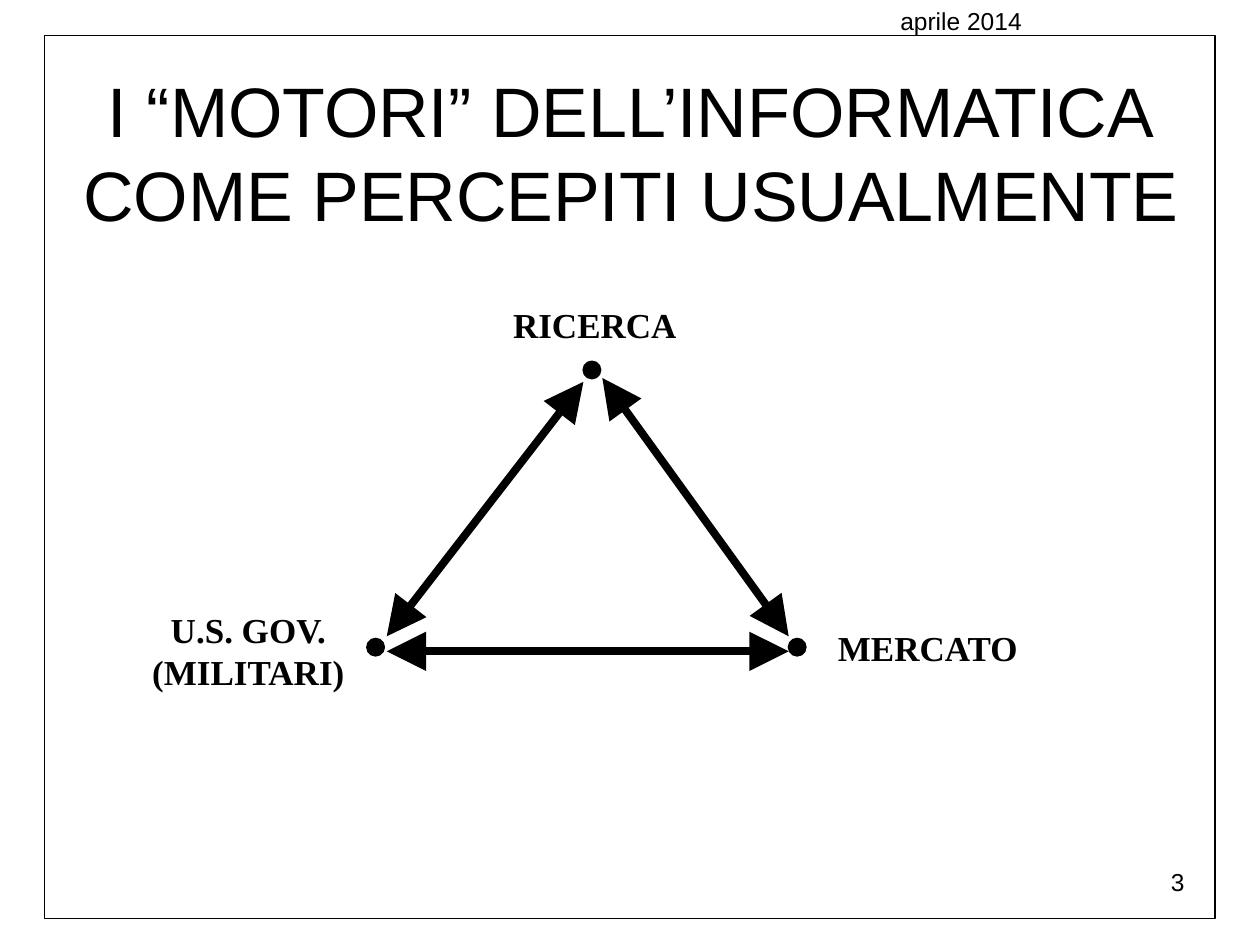
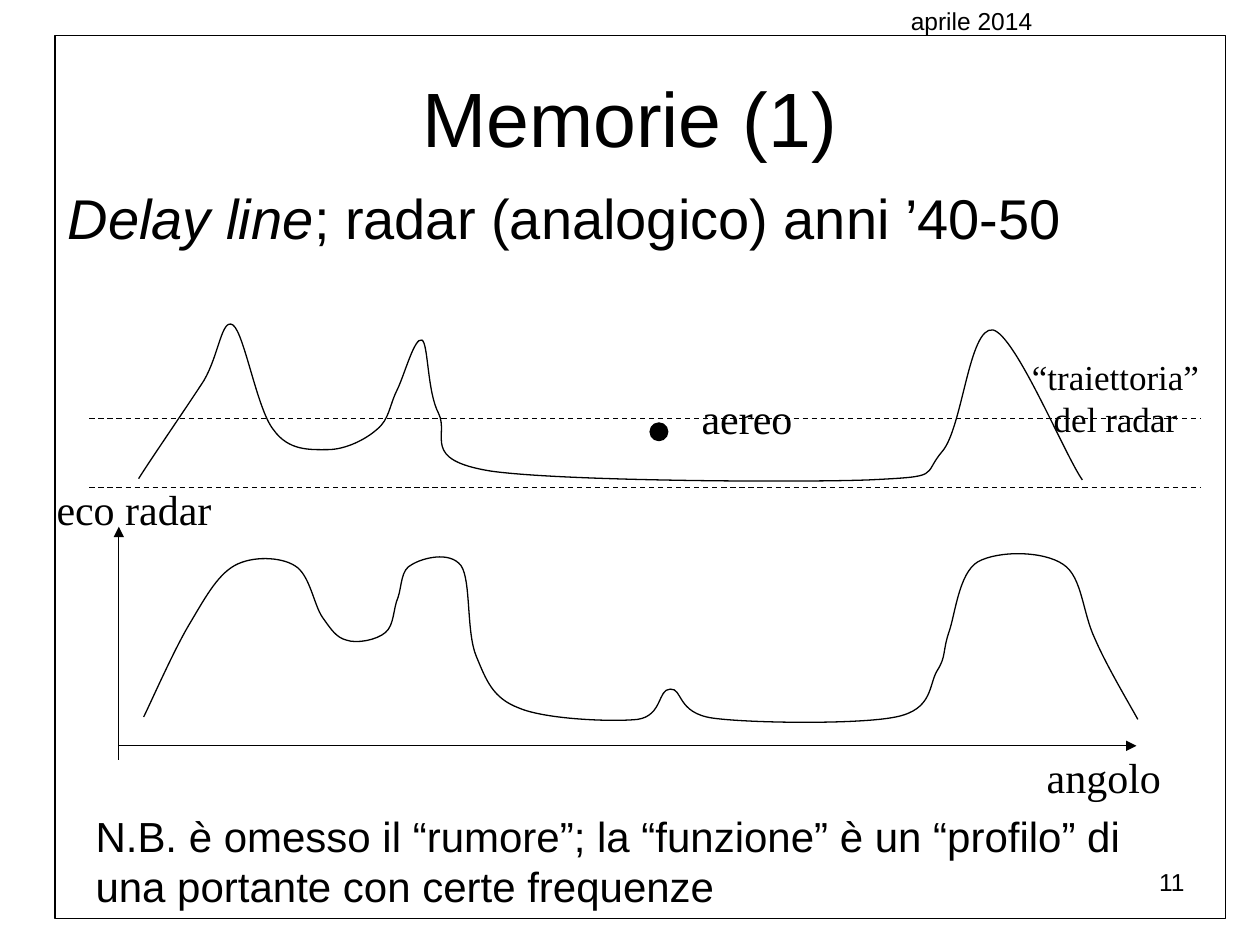
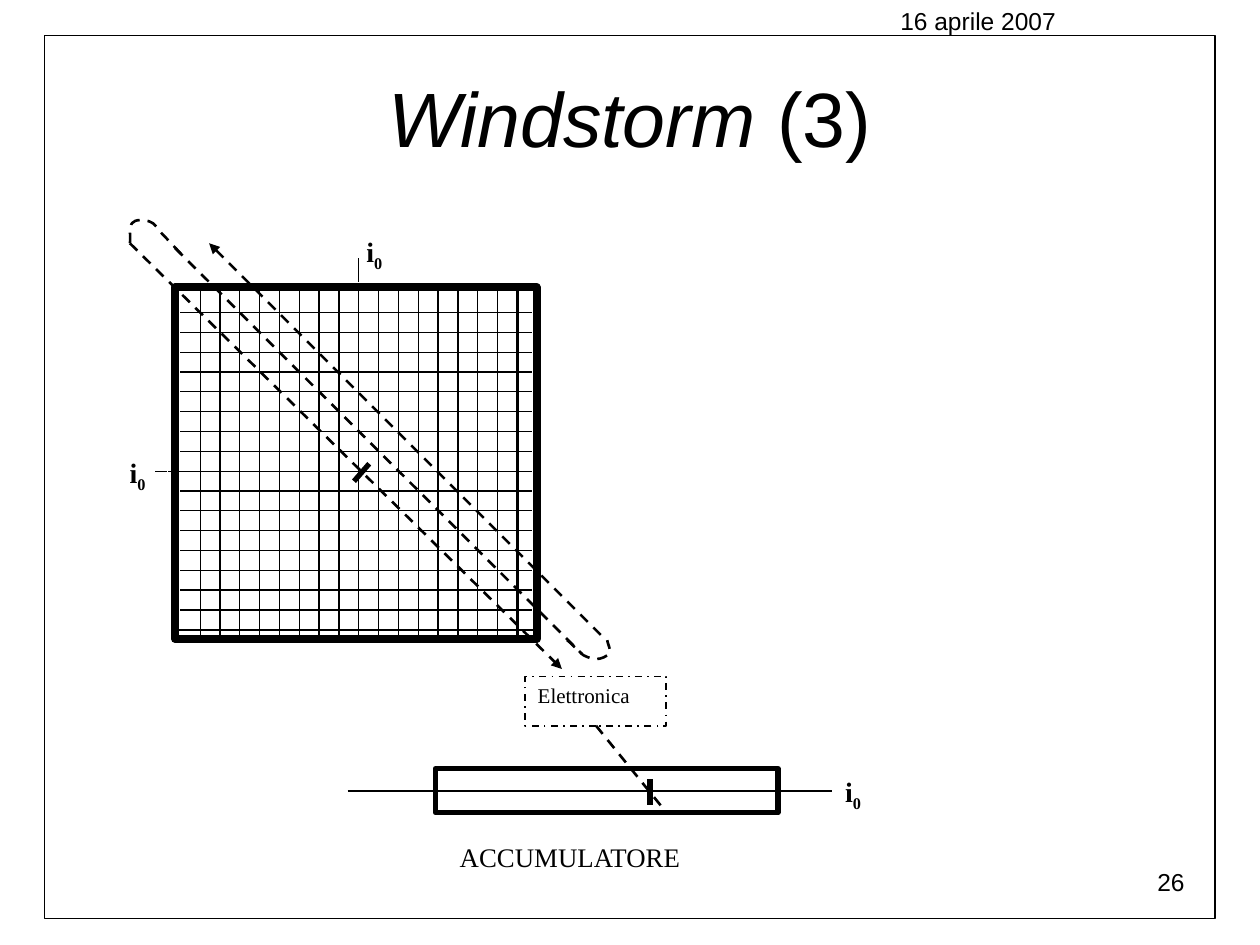
from lxml.etree import SubElement
from pptx import Presentation
from pptx.dml.color import RGBColor
from pptx.enum.dml import MSO_LINE
from pptx.enum.shapes import MSO_CONNECTOR, MSO_SHAPE
from pptx.enum.text import MSO_ANCHOR, PP_ALIGN
from pptx.oxml.ns import qn
from pptx.util import Pt

COLORS = {"ink": "000000", "paper": "FFFFFF"}
SANS, SERIF = "Arial", "Times New Roman"
BODY = {"name": SANS, "size": 24}
LABEL = {"name": SERIF, "size": 24}
NODE = {"name": SERIF, "size": 20, "bold": True}
CURRENT = {"name": SERIF, "size": 16, "bold": True}
ITALIC = {"italic": True}
I0 = [[("i", {}), ("0", {"baseline": -25000})]]

# Bezier curves: start point, then two control points and an end point a row
TERRAIN = [
    (79.2, 273.6),
    (85, 264.2), (107.3, 231.8), (116.6, 217.4),
    (125.3, 202.3), (126.7, 181.4), (133.2, 185.8),
    (139.7, 190.8), (146.9, 234), (156.2, 245.5),
    (164.9, 257.8), (177.1, 257), (187.2, 257),
    (197.3, 257), (208.8, 251.3), (215.3, 245.5),
    (222.5, 239.8), (222.5, 231.8), (226.8, 223.2),
    (231.1, 214.6), (236.9, 192.2), (241.2, 194.4),
    (244.8, 196.6), (244.1, 223.9), (250.6, 236.2),
    (257, 249.1), (239.8, 262.8), (280.8, 269.3),
    (321.8, 275), (453.6, 275.8), (496.1, 274.3),
    (539.3, 272.2), (526.3, 272.2), (538.6, 257.8),
    (550.1, 244.1), (553.7, 186.5), (567.4, 188.6),
    (580.3, 191.5), (608.4, 259.9), (618.5, 274.3),
]
ECHO = [
    (82.1, 409.7),
    (86.4, 401), (99.4, 371.5), (108, 357.1),
    (116.6, 342.7), (123.8, 329), (133.9, 323.3),
    (144, 317.5), (160.6, 318.2), (168.5, 323.3),
    (177.1, 328.3), (179.3, 345.6), (184.3, 352.8),
    (189.4, 360), (192.2, 364.3), (198, 365.8),
    (203.8, 367.9), (215.3, 365.8), (220.3, 361.4),
    (225.4, 357.1), (224.6, 347.8), (227.5, 341.3),
    (229.7, 334.8), (229, 325.4), (235.4, 322.6),
    (241.2, 319), (257, 314.6), (263.5, 323.3),
    (269.3, 331.9), (266.4, 361.4), (272.2, 375.1),
    (277.9, 388.8), (281.5, 398.9), (296.6, 404.6),
    (311.8, 411.1), (350, 412.6), (364.3, 411.1),
    (378.7, 409), (375.8, 393.8), (383, 393.8),
    (390.2, 393.1), (386.6, 407.5), (407.5, 410.4),
    (429.1, 413.3), (491, 414), (511.9, 409.7),
    (533.5, 405.4), (530.6, 391), (535.7, 383),
    (540.7, 375.1), (538.6, 372.2), (542.2, 361.4),
    (545.8, 351.4), (547.9, 327.6), (558.7, 321.1),
    (570.2, 314.6), (596.2, 314.6), (607.7, 322.6),
    (618.5, 329.8), (618.5, 349.9), (625.7, 365),
    (632.2, 380.2), (645.1, 401.8), (650.2, 411.1),
]
TOP_LOOP = [
    (74.2, 139),
    (74.9, 136.8), (73.4, 129.6), (75.6, 127.4),
    (77, 125.3), (82.8, 125.3), (85.7, 126.7),
    (88.6, 127.4), (90, 131), (93.6, 134.6),
    (96.5, 137.5), (103, 144.7), (105.8, 147.6),
]
BOTTOM_LOOP = [
    (324, 365.8),
    (325.4, 366.5), (330.5, 372.2), (333.4, 374.4),
    (336.2, 375.8), (338.4, 376.6), (340.6, 376.6),
    (343.4, 376.6), (347, 375.1), (348.5, 373),
    (349.2, 371.5), (347, 367.2), (347, 365.8),
]


def rgb(color):
    return RGBColor.from_string(COLORS[color])


def set_line(line, width, color="ink", dash=None):
    line.color.rgb = rgb(color)
    line.width = Pt(width)
    if dash:
        line.dash_style = dash


def write(sp, lines, font, align=PP_ALIGN.LEFT, anchor=MSO_ANCHOR.TOP,
          margins=(7.2, 3.6), spacing=None):
    """Each line is a string or a list of (text, format) runs."""
    tf = sp.text_frame
    x, y = map(Pt, margins)
    frame = {"word_wrap": True, "vertical_anchor": anchor, "margin_left": x,
             "margin_right": x, "margin_top": y, "margin_bottom": y}
    for key, value in frame.items():
        setattr(tf, key, value)
    for i, line in enumerate(lines):
        p = tf.add_paragraph() if i else tf.paragraphs[0]
        p.alignment = align
        if spacing:
            p.line_spacing = spacing
        for text, extra in [(line, {})] if isinstance(line, str) else line:
            r = p.add_run()
            r.text = text
            r.font.color.rgb = rgb("ink")
            for key, value in {**font, **extra}.items():
                if key == "baseline":
                    r.font._element.set(key, str(value))
                else:
                    setattr(r.font, key, Pt(value) if key == "size" else value)


def add_text(slide, box, lines, font, **layout):
    sp = slide.shapes.add_textbox(*map(Pt, box))
    write(sp, lines, font, **layout)


def add_box(slide, box, fill=None, width=None, color="ink", dash=None,
            kind=MSO_SHAPE.RECTANGLE):
    sp = slide.shapes.add_shape(kind, *map(Pt, box))
    sp.shadow.inherit = False
    if fill:
        sp.fill.solid()
        sp.fill.fore_color.rgb = rgb(fill)
    else:
        sp.fill.background()
    if width:
        set_line(sp.line, width, color, dash)
    else:
        sp.line.fill.background()
    return sp


def add_dot(slide, x, y):
    add_box(slide, (x, y, 10.1, 10.1), "ink", 0.75,
            kind=MSO_SHAPE.FLOWCHART_CONNECTOR)


def add_line(slide, start, end, width=0.75, dash=None, ends=(), size="med"):
    cxn = slide.shapes.add_connector(MSO_CONNECTOR.STRAIGHT,
                                     *map(Pt, start + end))
    set_line(cxn.line, width, dash=dash)
    ln = cxn.line._get_or_add_ln()
    for name in ends:
        SubElement(ln, qn(f"a:{name}End"), type="triangle", w=size, len=size)
    SubElement(cxn._element.spPr, qn("a:effectLst"))


def add_curve(slide, points, width=0.75, dash=None):
    start, *rest = [(Pt(x), Pt(y)) for x, y in points]
    builder = slide.shapes.build_freeform(*start)
    builder.add_line_segments(rest, close=False)
    sp = builder.convert_to_shape()
    sp.shadow.inherit = False
    sp.fill.background()
    set_line(sp.line, width, dash=dash)
    # Turn every three segments into one cubic curve
    path = sp._element.find(".//" + qn("a:path"))
    segments = path.findall(qn("a:lnTo"))
    for i in range(0, len(segments), 3):
        cubic = SubElement(path, qn("a:cubicBezTo"))
        for segment in segments[i:i + 3]:
            cubic.append(segment[0])
            path.remove(segment)


def add_slide(prs, number, date, title, title_box=(36, 21.6, 648, 90),
              title_size=44, shift=0):
    """Blank slide with number, title, frame and date."""
    slide = prs.slides.add_slide(prs.slide_layouts[6])
    small = {"name": SANS, "size": 14}
    add_text(slide, (516.2, 491.8, 167.8, 37.4), [str(number)], small,
             align=PP_ALIGN.RIGHT)
    add_text(slide, title_box, title, {"name": SANS, "size": title_size},
             align=PP_ALIGN.CENTER, anchor=MSO_ANCHOR.MIDDLE)
    add_box(slide, (25.4 + shift, 20.2, 668.9, 504.7), width=0.75)
    add_text(slide, (507.4 + shift, 0, 158.4, 24.5), [date], small)
    return slide


def engines_slide(prs):
    slide = add_slide(
        prs, 3, "aprile 2014",
        ["I “MOTORI” DELL’INFORMATICA", "COME PERCEPITI USUALMENTE"],
        (36.7, 34.6, 648, 103.7), 40)
    # Corners of the triangle
    for x, y in [(333.2, 206.4), (209.6, 364.8), (450.5, 364.8)]:
        add_dot(slide, x, y)
    for box, lines, align in [
        ((279.4, 173.5, 121, 23.8), ["RICERCA"], PP_ALIGN.CENTER),
        ((81.4, 347.8, 121, 48.2), ["U.S. GOV.", "(MILITARI)"],
         PP_ALIGN.CENTER),
        ((478.8, 357.8, 121, 23.8), ["MERCATO"], PP_ALIGN.LEFT),
    ]:
        add_text(slide, box, lines, NODE, align=align, margins=(0, 0))
    # Two-way arrows
    for start, end in [((333.4, 218.2), (221, 363.6)),
                       ((221, 372.2), (450.7, 372.2)),
                       ((344.2, 216), (450.7, 363.6))]:
        add_line(slide, start, end, 4.5, ends=("head", "tail"), size="lg")


def memory_slide(prs):
    slide = add_slide(prs, 11, "aprile 2014", ["Memorie (1)"], shift=6)
    add_text(slide, (31.7, 101.5, 648, 54.7),
             [[("Delay line", ITALIC),
               ("; radar (analogico) anni ’40-50", {})]],
             {"name": SANS, "size": 32})
    # Terrain and radar path
    add_curve(slide, TERRAIN)
    add_dot(slide, 371.5, 241.7)
    add_text(slide, (581, 199.4, 113, 55.4), ["“traiettoria”", "del radar"],
             {"name": SERIF, "size": 20}, align=PP_ALIGN.CENTER)
    add_text(slide, (393.8, 221, 73.4, 36), ["aereo"], LABEL)
    for y in (278.6, 239):
        add_line(slide, (51.1, y), (686.2, y), dash=MSO_LINE.DASH)
    # Echo chart
    add_line(slide, (67.9, 426.2), (649.4, 426.2), ends=("tail",))
    add_curve(slide, ECHO)
    add_line(slide, (67.9, 301), (67.9, 434.5), ends=("head",))
    add_text(slide, (591, 426.2, 90, 36), ["angolo"], LABEL)
    add_text(slide, (25.2, 272.9, 115.9, 36), ["eco radar"], LABEL)
    add_text(slide, (47.5, 459.4, 602, 64.8),
             ["N.B. è omesso il “rumore”; la “funzione” è un “profilo” di "
              "una portante con certe frequenze"], BODY)


def core_matrix_slide(prs):
    slide = add_slide(prs, 26, "16 aprile 2007",
                      [[("Windstorm", ITALIC), (" (3)", {})]])
    # Core grid; the selected row and column stick out
    count, step, selected = 16, 11.33, 8
    for i in range(count):
        x, y = 114.4 + i * step, 178.6 + i * step
        top, left = (147.6, 88.6) if i == selected else (164.2, 103)
        add_line(slide, (x, top), (x, 365))
        add_line(slide, (303.8, y), (left, y))
    add_box(slide, (100.1, 164.2, 206.6, 200.9), width=4.5)
    add_line(slide, (295.9, 164.2), (295.9, 365), 1.5)
    add_line(slide, (100.1, 360), (306.7, 360), 1.5)
    # Sense wire
    for start, end, ends in [((74.2, 139), (321.1, 382.3), ("tail",)),
                             ((100.1, 141.8), (332.6, 373.7), ()),
                             ((119.5, 139), (346.3, 365.8), ("head",))]:
        add_line(slide, start, end, 1.5, MSO_LINE.DASH, ends)
    for loop in (TOP_LOOP, BOTTOM_LOOP):
        add_curve(slide, loop, 1.5, MSO_LINE.DASH)
    for x, y in [(67, 257), (202.3, 130.3)]:
        sp = add_box(slide, (x, y, 28.8, 31), width=0.5, color="paper")
        write(sp, I0, CURRENT)
    add_line(slide, (211, 265), (202.3, 275), 3)
    # Electronics and accumulator
    sp = add_box(slide, (300.2, 386.6, 80.6, 28.1), "paper", 1,
                 dash=MSO_LINE.DASH_DOT)
    write(sp, ["Elettronica"], {"name": SERIF, "size": 12})
    add_box(slide, (248.8, 439.2, 195.8, 25.2), "paper", 3)
    add_line(slide, (198.7, 452.2), (475.2, 452.2), 1)
    add_line(slide, (371.5, 445.2), (371.5, 460), 3)
    add_line(slide, (340.6, 414.7), (378, 460.8), 1.5, MSO_LINE.DASH)
    sp = add_box(slide, (475.9, 439.2, 28.8, 31), "paper", 0.5, "paper")
    write(sp, I0, CURRENT)
    sp = add_box(slide, (255.6, 478.8, 177.1, 25.2), "paper")
    write(sp, ["ACCUMULATORE"], {"name": SERIF, "size": 15.3}, spacing=0.9)


def main():
    prs = Presentation()
    prs.slide_width, prs.slide_height = Pt(720), Pt(540)
    engines_slide(prs)
    memory_slide(prs)
    core_matrix_slide(prs)
    prs.save("out.pptx")


if __name__ == "__main__":
    main()
